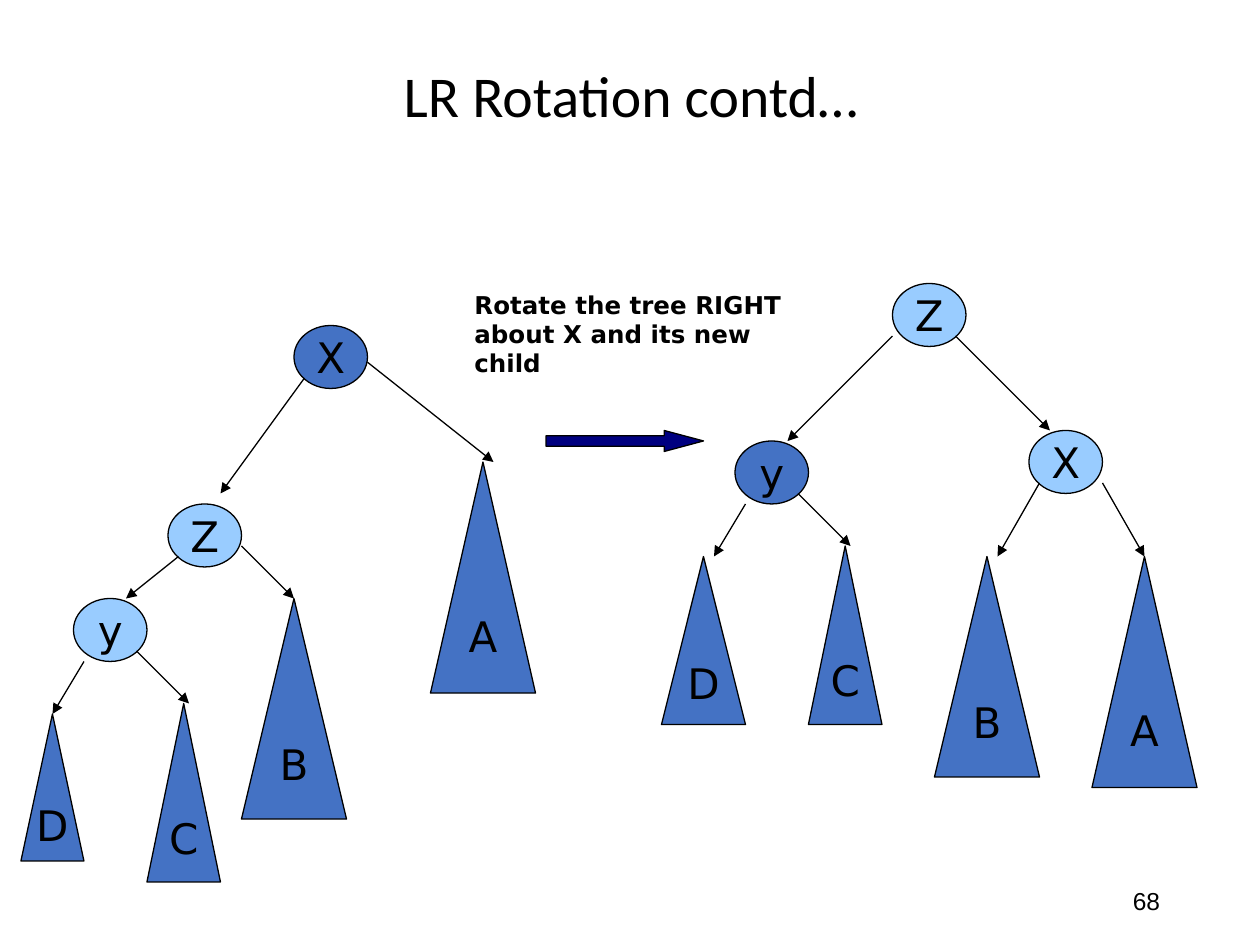
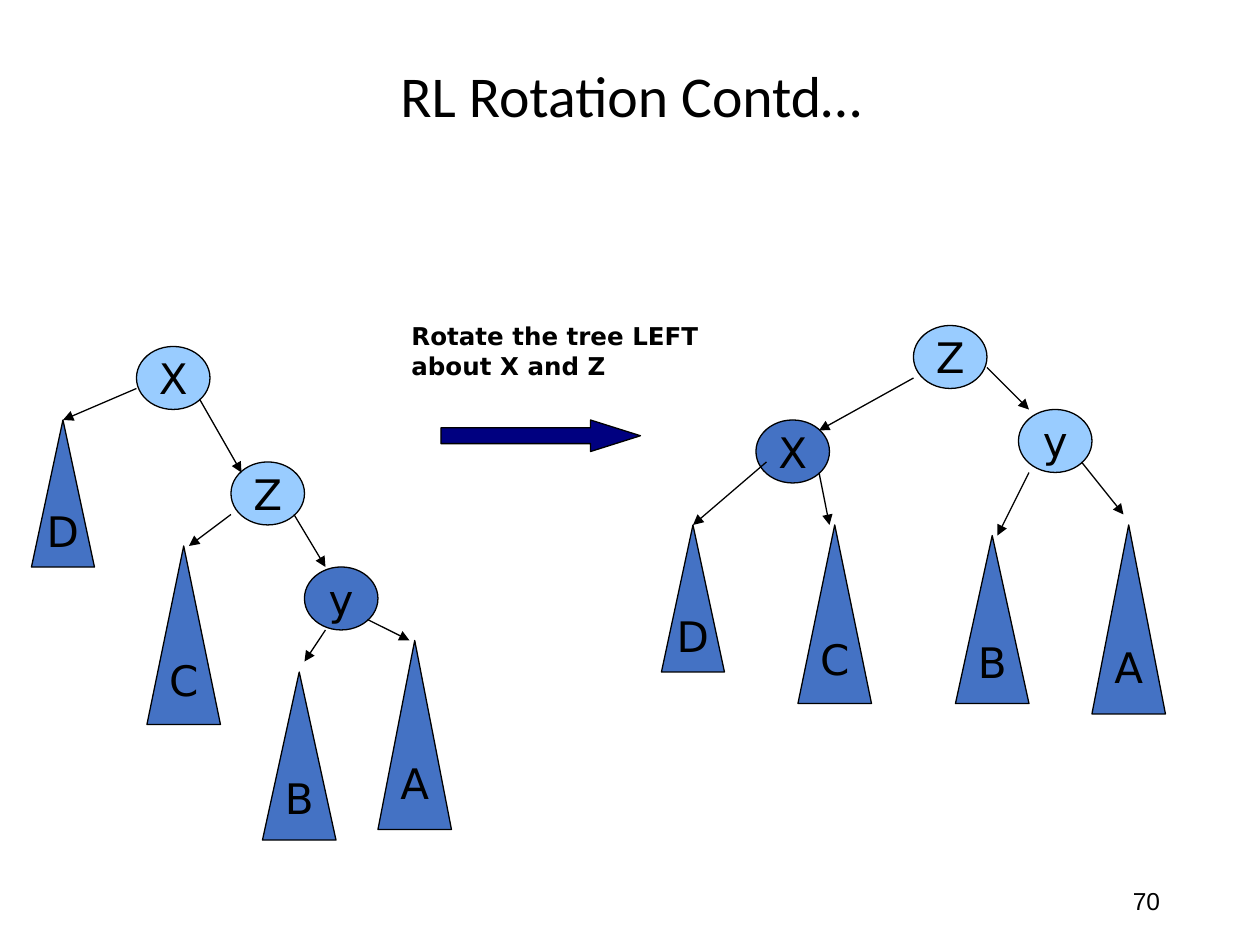
from lxml import etree
from pptx import Presentation
from pptx.dml.color import RGBColor
from pptx.enum.shapes import MSO_CONNECTOR, MSO_SHAPE
from pptx.enum.text import MSO_ANCHOR, MSO_AUTO_SIZE, PP_ALIGN
from pptx.oxml.ns import qn
from pptx.util import Pt

OVAL = MSO_SHAPE.OVAL
TRIANGLE = MSO_SHAPE.FLOWCHART_EXTRACT
RIGHT_ARROW = MSO_SHAPE.RIGHT_ARROW
STRAIGHT = MSO_CONNECTOR.STRAIGHT
MIDDLE = MSO_ANCHOR.MIDDLE
TOP = MSO_ANCHOR.TOP
LEFT, CENTER, RIGHT = PP_ALIGN.LEFT, PP_ALIGN.CENTER, PP_ALIGN.RIGHT
FIT_SHAPE = MSO_AUTO_SIZE.SHAPE_TO_FIT_TEXT

BLACK = "000000"
LIGHT_BLUE = "99CCFF"
BLUE = "4472C4"
NAVY = "000080"
TREE_FONT = "DejaVu Sans"
LINE_WIDTH = 0.75
NODE_SIZE = (42, 36)

ROTATIONS = [
    {
        "title": "LR Rotation contd…",
        "page": "68",
        "caption": ("Rotate the tree RIGHT about X and its new child", 264, 162),
        "arrow": (312, 246, 90, 12, 1.872),
        "nodes": [
            ("X", 168, 186, BLUE),
            ("Z", 96, 288, LIGHT_BLUE),
            ("y", 42, 342, LIGHT_BLUE),
            ("Z", 510, 162, LIGHT_BLUE),
            ("y", 420, 252, BLUE),
            ("X", 588, 246, LIGHT_BLUE),
        ],
        "subtrees": [
            ("D", 12, 408, 36, 84),
            ("C", 84, 402, 42, 102),
            ("B", 138, 342, 60, 126),
            ("A", 246, 264, 60, 132),
            ("D", 378, 318, 48, 96),
            ("C", 462, 312, 42, 102),
            ("B", 534, 318, 60, 126),
            ("A", 624, 318, 60, 132),
        ],
        "edges": [
            (174, 216, 126, 282),
            (210, 207, 282, 264),
            (102, 318, 72, 342),
            (138, 312, 168, 342),
            (48, 378, 30, 408),
            (78, 372, 108, 402),
            (510, 192, 450, 252),
            (546, 192, 600, 246),
            (426, 288, 408, 318),
            (456, 282, 486, 312),
            (594, 276, 570, 318),
            (630, 276, 654, 318),
        ],
    },
    {
        "title": "RL Rotation Contd…",
        "page": "70",
        "caption": ("Rotate the tree LEFT about X and Z", 228, 180),
        "arrow": (252, 240, 114, 18, 1.583),
        "nodes": [
            ("X", 78, 198, LIGHT_BLUE),
            ("Z", 132, 264, LIGHT_BLUE),
            ("y", 174, 324, BLUE),
            ("Z", 522, 186, LIGHT_BLUE),
            ("X", 432, 240, BLUE),
            ("y", 582, 234, LIGHT_BLUE),
        ],
        "subtrees": [
            ("D", 18, 240, 36, 84),
            ("C", 84, 312, 42, 102),
            ("B", 150, 384, 42, 96),
            ("A", 216, 366, 42, 108),
            ("D", 378, 300, 36, 84),
            ("C", 456, 300, 42, 102),
            ("B", 546, 306, 42, 96),
            ("A", 624, 300, 42, 108),
        ],
        "edges": [
            (78, 222, 36, 240),
            (114, 228, 138, 270),
            (132, 294, 108, 312),
            (168, 294, 186, 324),
            (186, 360, 174, 378),
            (210, 354, 234, 366),
            (522, 216, 468, 246),
            (564, 210, 588, 234),
            (438, 264, 396, 300),
            (468, 270, 474, 300),
            (588, 270, 570, 306),
            (618, 264, 642, 294),
        ],
    },
]


def color(hex_string):
    return RGBColor.from_string(hex_string)


def write(frame, text, size, font, align, anchor=MIDDLE, bold=False):
    frame.vertical_anchor = anchor
    paragraph = frame.paragraphs[0]
    paragraph.text = text
    paragraph.alignment = align
    paragraph.font.size = Pt(size)
    paragraph.font.name = font
    paragraph.font.bold = bold
    paragraph.font.color.rgb = color(BLACK)
    return paragraph


def add_label(slide, box, text, size, font, align, **style):
    frame = slide.shapes.add_textbox(*map(Pt, box)).text_frame
    frame.word_wrap = True
    return frame, write(frame, text, size, font, align, **style)


def add_outlined(slide, kind, box, fill):
    shape = slide.shapes.add_shape(kind, *map(Pt, box))
    shape.shadow.inherit = False
    shape.fill.solid()
    shape.fill.fore_color.rgb = color(fill)
    shape.line.color.rgb = color(BLACK)
    shape.line.width = Pt(LINE_WIDTH)
    return shape


def add_tree_part(slide, kind, letter, box, fill):
    frame = add_outlined(slide, kind, box, fill).text_frame
    frame.word_wrap = False
    write(frame, letter, 24, TREE_FONT, CENTER)


def add_edge(slide, ends):
    edge = slide.shapes.add_connector(STRAIGHT, *map(Pt, ends))
    edge.line.color.rgb = color(BLACK)
    edge.line.width = Pt(LINE_WIDTH)
    etree.SubElement(edge.line._get_or_add_ln(), qn("a:tailEnd"), type="triangle")
    etree.SubElement(edge._element.spPr, qn("a:effectLst"))


def add_rotation_arrow(slide, left, top, width, height, head_ratio):
    arrow = add_outlined(slide, RIGHT_ARROW, (left, top, width, height), NAVY)
    arrow.adjustments[1] = head_ratio


def add_caption(slide, text, left, top):
    frame, _ = add_label(slide, (left, top, 198, 41), text, 14, TREE_FONT,
                         LEFT, anchor=TOP, bold=True)
    frame.auto_size = FIT_SHAPE


def add_frame(slide, title, page):
    _, heading = add_label(slide, (50, 29, 621, 55), title, 33, "Calibri", CENTER)
    heading.line_spacing = 0.9
    add_label(slide, (508, 500, 162, 29), page, 14, "Arial", RIGHT)


def add_rotation_slide(deck, rotation):
    slide = deck.slides.add_slide(deck.slide_layouts[6])
    add_frame(slide, rotation["title"], rotation["page"])
    add_caption(slide, *rotation["caption"])
    add_rotation_arrow(slide, *rotation["arrow"])
    for letter, left, top, fill in rotation["nodes"]:
        add_tree_part(slide, OVAL, letter, (left, top, *NODE_SIZE), fill)
    for letter, *box in rotation["subtrees"]:
        add_tree_part(slide, TRIANGLE, letter, box, BLUE)
    for ends in rotation["edges"]:
        add_edge(slide, ends)


def main():
    deck = Presentation()
    deck.slide_width, deck.slide_height = Pt(720), Pt(540)
    for rotation in ROTATIONS:
        add_rotation_slide(deck, rotation)
    deck.save("out.pptx")


if __name__ == "__main__":
    main()
